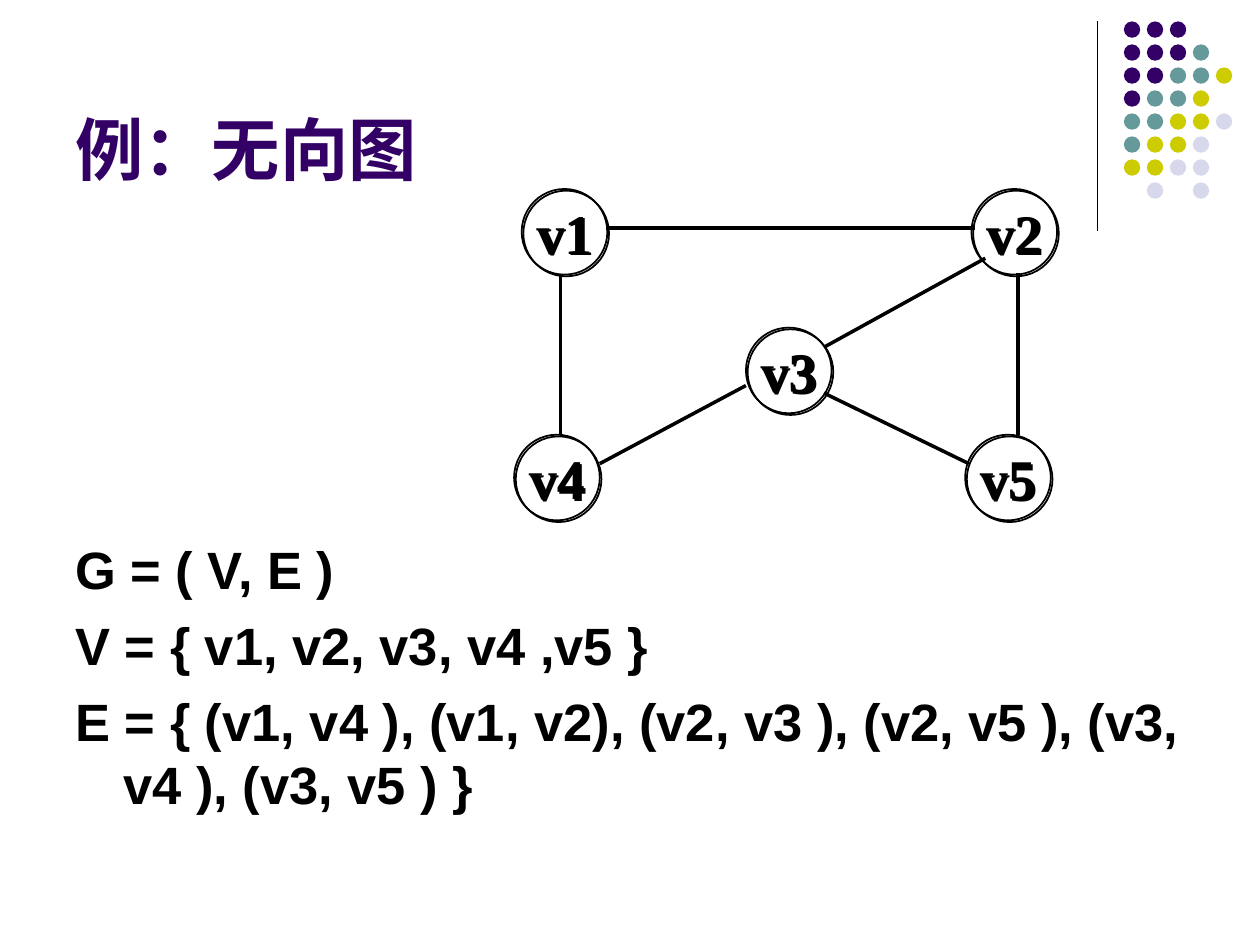
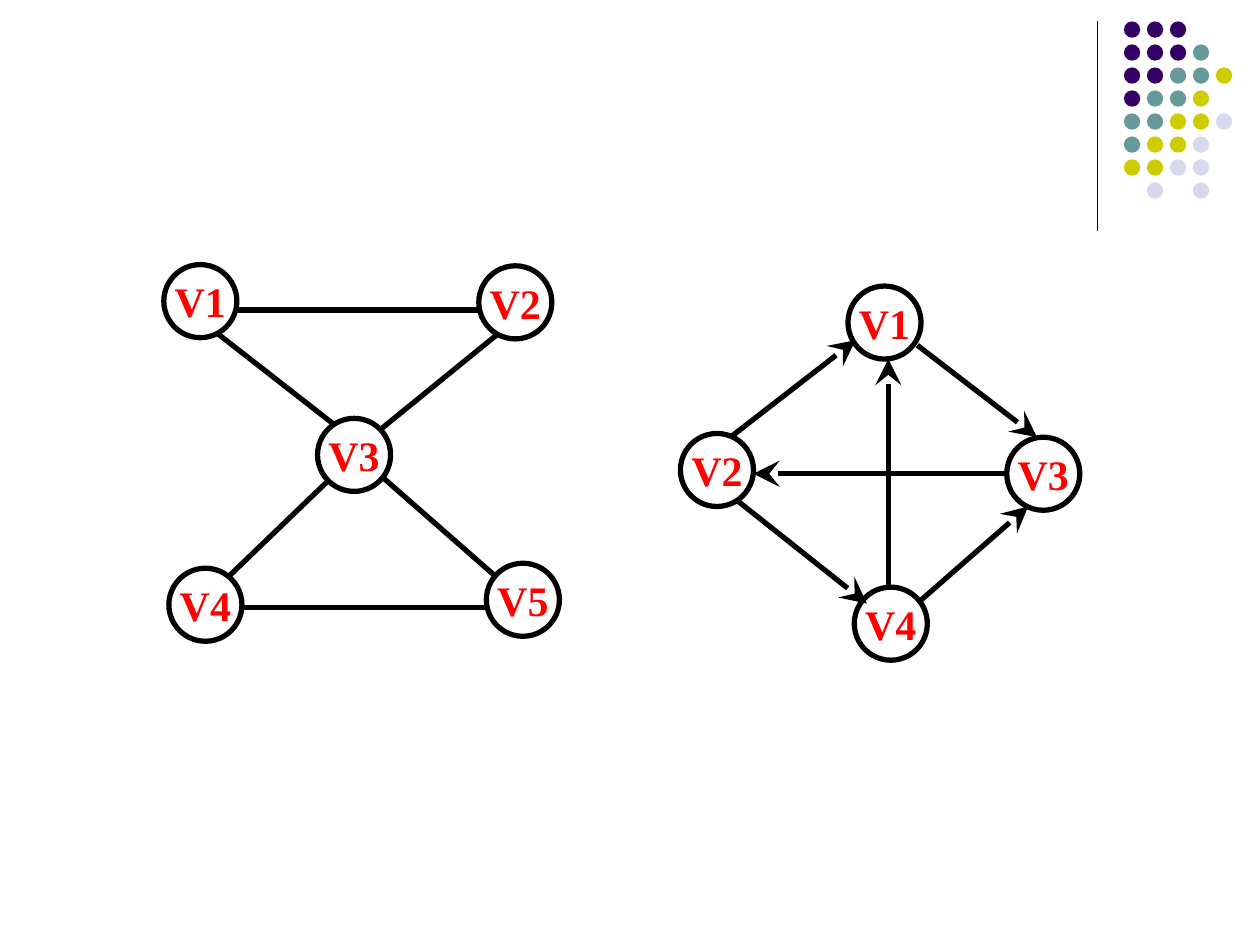
from lxml import etree
from pptx import Presentation
from pptx.dml.color import RGBColor
from pptx.enum.shapes import MSO_CONNECTOR, MSO_SHAPE
from pptx.enum.text import MSO_ANCHOR, PP_ALIGN
from pptx.oxml.ns import qn
from pptx.util import Inches, Pt

STRAIGHT = MSO_CONNECTOR.STRAIGHT
OVAL = MSO_SHAPE.OVAL
CONNECTOR_NODE = MSO_SHAPE.FLOWCHART_CONNECTOR
MIDDLE, BOTTOM = MSO_ANCHOR.MIDDLE, MSO_ANCHOR.BOTTOM
CENTER = PP_ALIGN.CENTER

BLACK, RED = "000000", "FF0000"
DOT_COLOURS = {"P": "330066", "T": "669999", "Y": "CCCC00", "L": "D8D8EC"}
DOT_ROWS = ["PPP", "PPPT", "PPTTY", "PTTY", "TTYYL", "TYYL", "YYLL", " L L"]
DOT_SIZE = 0.13
DOT_PITCH = 0.73 / 4

TITLE_FONT = {"name": "Arial", "size": Pt(39), "bold": True}
BODY_FONT = {"name": "Arial", "size": Pt(30), "bold": True}
LARGE_LABEL = {"name": "Times New Roman", "size": Pt(32), "bold": True}
SMALL_LABEL = {"name": "Times New Roman", "size": Pt(24), "bold": True}

SHADOWED = {"shape": OVAL, "size": 0.68, "outline": 1, "edge": 2,
            "font": LARGE_LABEL, "colour": BLACK, "shadow": True, "arrow": False}
PLAIN = {"shape": CONNECTOR_NODE, "size": 0.58, "outline": 3, "edge": 3,
         "font": SMALL_LABEL, "colour": RED, "shadow": False, "arrow": False}
DIRECTED = {**PLAIN, "arrow": True}

EXAMPLE_NODES = {"v1": (0.06, 0), "v2": (3.63, 0), "v3": (1.84, 1.1),
                 "v4": (0, 1.95), "v5": (3.58, 1.95)}
EXAMPLE_EDGES = [(0.37, 0.69, 0.37, 1.95), (0.73, 0.31, 3.66, 0.31),
                 (4, 0.67, 4, 1.95), (3.61, 2.18, 2.46, 1.62),
                 (3.74, 0.55, 2.47, 1.25), (1.84, 1.56, 0.68, 2.18)]
UNDIRECTED_NODES = {"V1": (0, 0), "V2": (2.5, 0.01), "V3": (1.22, 1.22),
                    "V4": (0.04, 2.41), "V5": (2.56, 2.37)}
UNDIRECTED_EDGES = [(0.59, 0.36, 2.52, 0.36), (0.63, 2.72, 2.56, 2.72),
                    (0.51, 2.48, 1.3, 1.72), (1.75, 1.7, 2.64, 2.48),
                    (0.43, 0.55, 1.34, 1.26), (1.73, 1.3, 2.64, 0.56)]
DIRECTED_NODES = {"V1": (1.33, 0), "V2": (0, 1.17), "V3": (2.59, 1.2),
                  "V4": (1.38, 2.39)}
DIRECTED_EDGES = [(1.65, 2.39, 1.65, 0.58), (2.58, 1.49, 0.58, 1.49),
                  (1.88, 0.47, 2.83, 1.2), (0.46, 1.71, 1.48, 2.52),
                  (0.41, 1.19, 1.39, 0.43), (1.89, 2.51, 2.76, 1.75)]
SETS = ["G = ( V, E )", "V = { v1, v2, v3, v4 ,v5 }",
        "E = { (v1, v4 ), (v1, v2), (v2, v3 ), (v2, v5 ), (v3, v4 ), (v3, v5 ) }"]


def colour(value):
    return RGBColor.from_string(value)


def assign(target, values):
    for name, value in values.items():
        setattr(target, name, value)


def write(para, text, font, ink):
    span = para.add_run()
    span.text = text
    assign(span.font, font)
    span.font.color.rgb = colour(ink)


def add_line(shapes, ends, width, arrow=False):
    line = shapes.add_connector(STRAIGHT, *[Inches(value) for value in ends])
    line.line.color.rgb = colour(BLACK)
    line.line.width = Pt(width)
    if arrow:
        outline = line.line._get_or_add_ln()
        etree.SubElement(outline, qn("a:tailEnd"), type="stealth", w="lg", len="lg")
    etree.SubElement(line._element.spPr, qn("a:effectLst"))


def add_text(page, box, **frame_format):
    frame = page.shapes.add_textbox(*[Inches(value) for value in box]).text_frame
    assign(frame, {"word_wrap": True, **frame_format})
    return frame


def add_shadow(node):
    effects = node._element.spPr.find(qn("a:effectLst"))
    shadow = etree.SubElement(effects, qn("a:outerShdw"), dist=str(Pt(1.4)),
                              dir="2700000", algn="ctr", rotWithShape="0")
    etree.SubElement(shadow, qn("a:srgbClr"), val=BLACK)


def add_node(shapes, left, top, label, style):
    size = Inches(style["size"])
    node = shapes.add_shape(style["shape"], Inches(left), Inches(top), size, size)
    node.shadow.inherit = False
    node.fill.background()
    node.line.color.rgb = colour(BLACK)
    node.line.width = Pt(style["outline"])
    if style["shadow"]:
        add_shadow(node)
    frame = node.text_frame
    assign(frame, {"word_wrap": False, "vertical_anchor": MIDDLE,
                   "margin_left": 0, "margin_right": 0,
                   "margin_top": 0, "margin_bottom": 0})
    para = frame.paragraphs[0]
    para.alignment = CENTER
    write(para, label, style["font"], style["colour"])


def add_graph(page, left, top, nodes, edges, style):
    shapes = page.shapes.add_group_shape().shapes
    for x1, y1, x2, y2 in edges:
        add_line(shapes, (left + x1, top + y1, left + x2, top + y2),
                 style["edge"], style["arrow"])
    for label, (x, y) in nodes.items():
        add_node(shapes, left + x, top + y, label, style)


def add_corner(page, left, top):
    add_line(page.shapes, (left, top, left, top + 1.66), 0.75)
    shapes = page.shapes.add_group_shape().shapes
    for row, codes in enumerate(DOT_ROWS):
        for column, code in enumerate(codes):
            if code not in DOT_COLOURS:
                continue
            dot = shapes.add_shape(OVAL, Inches(left + 0.21 + column * DOT_PITCH),
                                   Inches(top + row * DOT_PITCH),
                                   Inches(DOT_SIZE), Inches(DOT_SIZE))
            dot.shadow.inherit = False
            dot.fill.solid()
            dot.fill.fore_color.rgb = colour(DOT_COLOURS[code])
            dot.line.fill.background()


def add_title(page, box, text):
    frame = add_text(page, box, vertical_anchor=BOTTOM)
    write(frame.paragraphs[0], text, TITLE_FONT, DOT_COLOURS["P"])


def add_sets(page, box, lines):
    frame = add_text(page, box, margin_top=Inches(2.38))
    for index, text in enumerate(lines):
        para = frame.add_paragraph() if index else frame.paragraphs[0]
        assign(para, {"space_before": Pt(7.5), "line_spacing": Pt(36)})
        indents = para._element.get_or_add_pPr()
        indents.set("marL", str(Inches(0.38)))
        indents.set("indent", str(Inches(-0.38)))
        write(para, text, BODY_FONT, BLACK)


def add_page(deck):
    page = deck.slides.add_slide(deck.slide_layouts[6])
    add_corner(page, 8.71, 0.17)
    return page


def build_example(deck):
    page = add_page(deck)
    add_title(page, (0.5, 0.13, 8.25, 1.42), "例：无向图")
    add_sets(page, (0.5, 1.88, 9, 4.82), SETS)
    add_graph(page, 4.08, 1.5, EXAMPLE_NODES, EXAMPLE_EDGES, SHADOWED)


def build_comparison(deck):
    page = add_page(deck)
    add_graph(page, 1.3, 2.1, UNDIRECTED_NODES, UNDIRECTED_EDGES, PLAIN)
    add_graph(page, 5.4, 2.27, DIRECTED_NODES, DIRECTED_EDGES, DIRECTED)


def main():
    deck = Presentation()
    deck.slide_width, deck.slide_height = Inches(10), Inches(7.5)
    build_example(deck)
    build_comparison(deck)
    deck.save("out.pptx")


if __name__ == "__main__":
    main()
